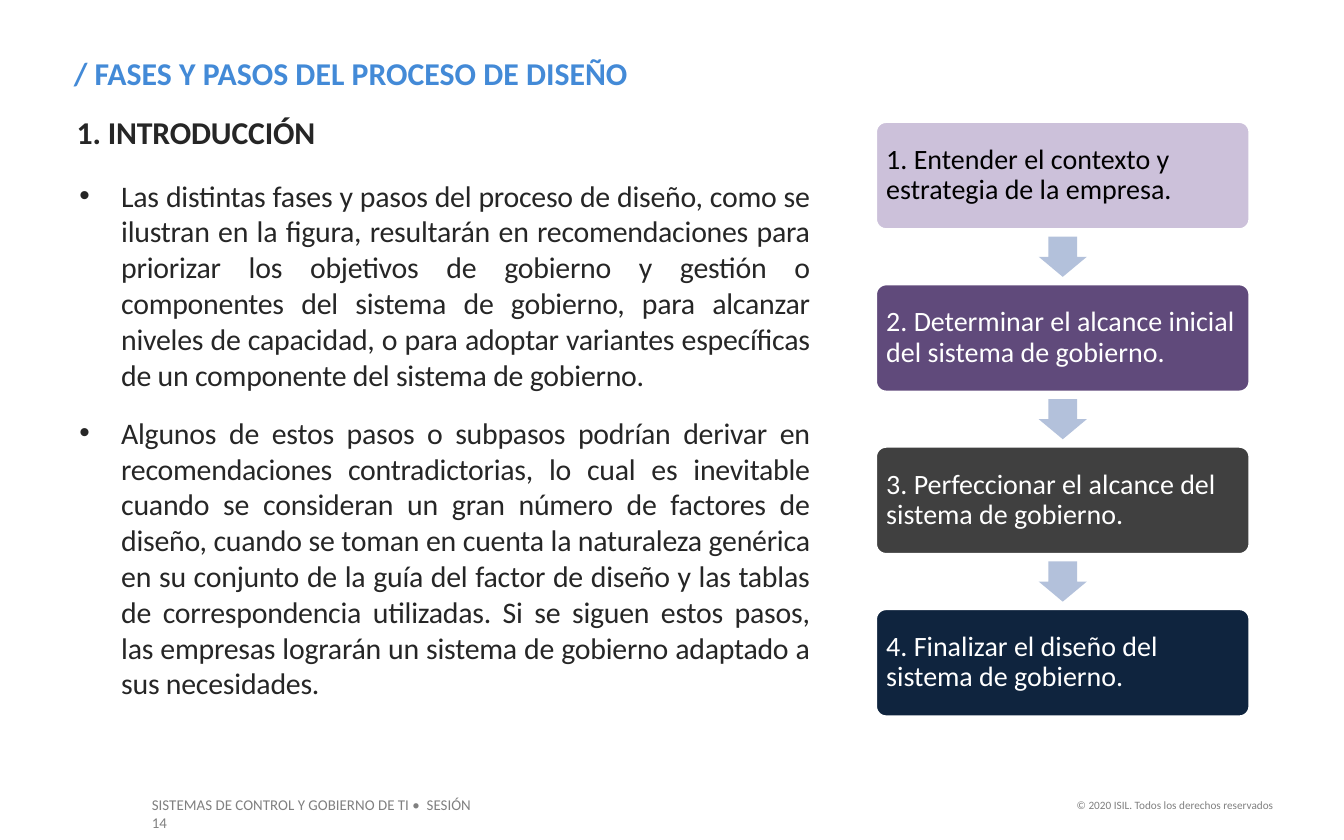
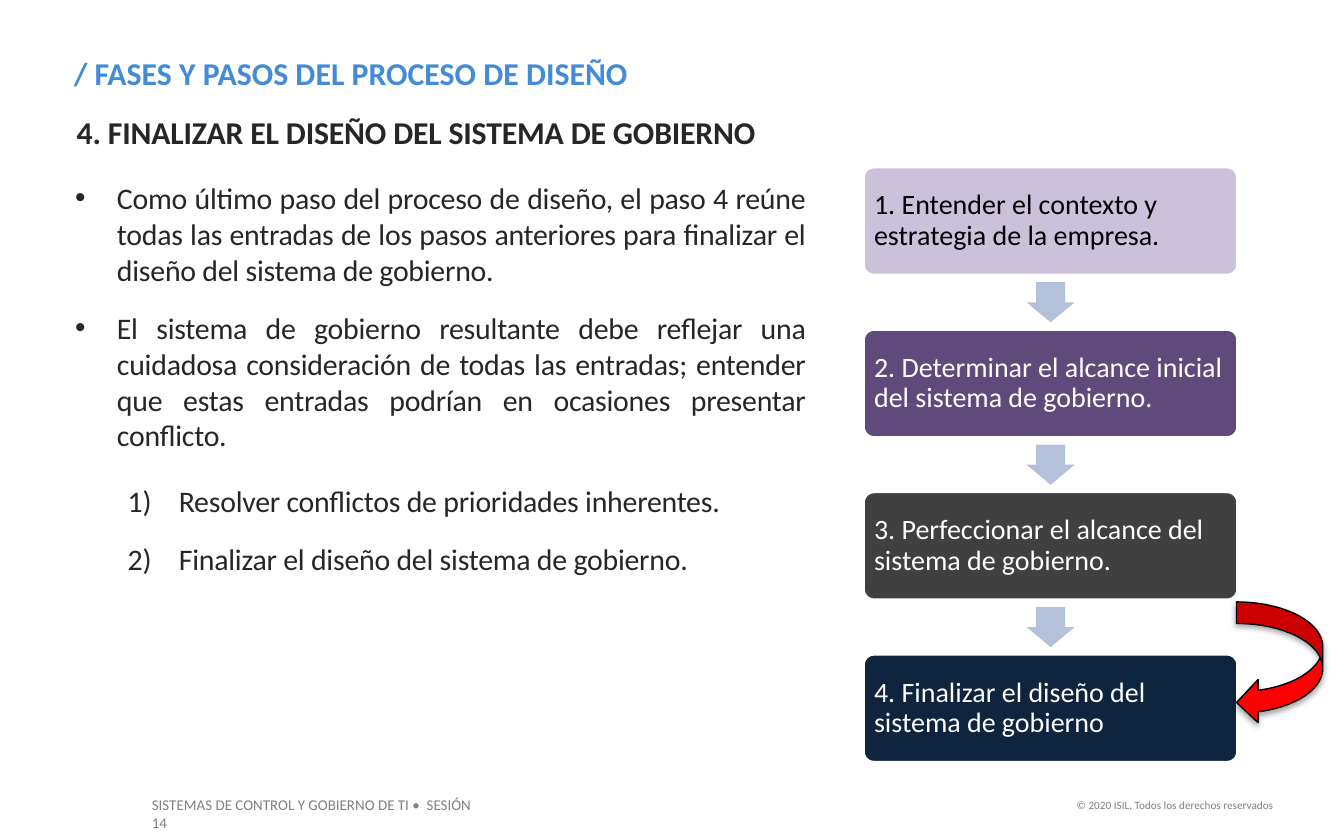
from lxml import etree
from pptx import Presentation
from pptx.dml.color import RGBColor
from pptx.enum.shapes import MSO_SHAPE
from pptx.enum.text import MSO_ANCHOR, MSO_AUTO_SIZE, PP_ALIGN
from pptx.oxml import parse_xml
from pptx.oxml.ns import nsdecls, qn
from pptx.util import Cm, Pt

FONT = "Calibri"
BLUE = RGBColor(0x43, 0x8A, 0xD7)
INK = RGBColor(0x26, 0x26, 0x26)
GRAY = RGBColor(0x80, 0x80, 0x80)
BLACK = RGBColor(0, 0, 0)
WHITE = RGBColor(0xFF, 0xFF, 0xFF)
RED = RGBColor(0xFF, 0, 0)
LILAC = RGBColor(0xCC, 0xC1, 0xDA)
PURPLE = RGBColor(0x60, 0x4A, 0x7B)
CHARCOAL = RGBColor(0x40, 0x40, 0x40)
NAVY = RGBColor(0x0F, 0x24, 0x3E)
ARROW_BLUE = RGBColor(0xB3, 0xC1, 0xDB)

TITLE = "/ FASES Y PASOS DEL PROCESO DE DISEÑO"
TITLE_AREA = (1.14, 0.89, 20.02, 0.99)

# text, area in cm, size, alignment
FOOTERS = [
    ("SISTEMAS DE CONTROL Y GOBIERNO DE TI •  SESIÓN 14",
     (2.62, 14.91, 6.88, 0.61), 8, PP_ALIGN.LEFT),
    ("© 2020 ISIL. Todos los derechos reservados",
     (20.02, 14.96, 4.29, 0.51), 6, PP_ALIGN.RIGHT),
]

# text, fill, text colour
STEPS = [
    ("1. Entender el contexto y estrategia de la empresa.", LILAC, BLACK),
    ("2. Determinar el alcance inicial del sistema de gobierno.", PURPLE, WHITE),
    ("3. Perfeccionar el alcance del sistema de gobierno.", CHARCOAL, WHITE),
    ("4. Finalizar el diseño del sistema de gobierno.", NAVY, WHITE),
]
LAST_TEXT, *LAST_COLOURS = STEPS[-1]
STEPS_NO_STOP = STEPS[:-1] + [(LAST_TEXT.rstrip("."), *LAST_COLOURS)]
STEP_W, STEP_H, STEP_PITCH = 7.09, 2.06, 3.07
ARROW_W, ARROW_H = 0.76, 0.91

SLIDES = [
    {
        "heading": "1. INTRODUCCIÓN",
        "heading_width": 5.38,
        "lists": [
            ("bullet", (1.5, 3.35, 13.82, 10.01), [
                "Las distintas fases y pasos del proceso de diseño, como se ilustran en la "
                "figura, resultarán en recomendaciones para priorizar los objetivos de "
                "gobierno y gestión o componentes del sistema de gobierno, para alcanzar "
                "niveles de capacidad, o para adoptar variantes específicas de un "
                "componente del sistema de gobierno.",
                "Algunos de estos pasos o subpasos podrían derivar en recomendaciones "
                "contradictorias, lo cual es inevitable cuando se consideran un gran número "
                "de factores de diseño, cuando se toman en cuenta la naturaleza genérica en "
                "su conjunto de la guía del factor de diseño y las tablas de "
                "correspondencia utilizadas. Si se siguen estos pasos, las empresas "
                "lograrán un sistema de gobierno adaptado a sus necesidades.",
            ]),
        ],
        "steps": STEPS,
        "flow_at": (16.54, 2.29),
    },
    {
        "heading": "4. FINALIZAR EL DISEÑO DEL SISTEMA DE GOBIERNO",
        "heading_width": 13.89,
        "lists": [
            ("bullet", (1.42, 3.4, 13.82, 5.21), [
                "Como último paso del proceso de diseño, el paso 4 reúne todas las entradas "
                "de los pasos anteriores para finalizar el diseño del sistema de gobierno.",
                "El sistema de gobierno resultante debe reflejar una cuidadosa "
                "consideración de todas las entradas; entender que estas entradas podrían "
                "en ocasiones presentar conflicto.",
            ]),
            ("number", (2.41, 9.12, 13.61, 1.8), [
                "Resolver conflictos de prioridades inherentes.",
                "Finalizar el diseño del sistema de gobierno.",
            ]),
        ],
        "steps": STEPS_NO_STOP,
        "flow_at": (16.31, 3.15),
        "return_arrow": (23.37, 11.38, 1.63, 2.31),
    },
]

# indent in cm, marker font, marker element, its attributes
MARKERS = {
    "bullet": (0.79, "Arial", "a:buChar", {"char": "•"}),
    "number": (0.97, FONT, "a:buAutoNum", {"type": "arabicParenR"}),
}
LAYOUTS = {1: 1, 2: 3}  # number of lists -> layout index


def cm(area):
    return [Cm(v) for v in area]


def place(sp, area):
    sp.left, sp.top, sp.width, sp.height = cm(area)


def set_frame(sp, inset=None, anchor=MSO_ANCHOR.TOP):
    tf = sp.text_frame
    tf.word_wrap = True
    tf.auto_size = MSO_AUTO_SIZE.NONE
    tf.vertical_anchor = anchor
    if inset is not None:
        tf.margin_left = tf.margin_top = tf.margin_right = tf.margin_bottom = Cm(inset)
    return tf


def add_run(p, text, size, color, bold=False, tight=False, align=PP_ALIGN.LEFT):
    """Add a run; tight narrows the letter spacing by 0.1 pt."""
    p.alignment = align
    r = p.add_run()
    r.text = text
    r.font.name, r.font.size, r.font.bold = FONT, Pt(size), bold
    r.font.color.rgb = color
    if tight:
        r.font._element.set("spc", "-10")


def set_marker(p, kind):
    indent, font, tag, attrs = MARKERS[kind]
    pPr = p._p.get_or_add_pPr()
    pPr.set("marL", str(Cm(indent)))
    pPr.set("indent", str(-Cm(indent)))
    etree.SubElement(pPr, qn("a:buFont"), typeface=font)
    etree.SubElement(pPr, qn(tag), attrs)


def add_list(sp, kind, area, items):
    place(sp, area)
    tf = set_frame(sp, 0)
    for i, item in enumerate(items):
        p = tf.paragraphs[0] if i == 0 else tf.add_paragraph()
        set_marker(p, kind)
        p.space_before, p.space_after = Pt(0), Pt(12)
        add_run(p, item, 16, INK, tight=True, align=PP_ALIGN.JUSTIFY)


def add_filled(slide, preset, area, fill, line=None, line_width=0):
    sp = slide.shapes.add_shape(preset, *cm(area))
    sp.shadow.inherit = False
    sp.fill.solid()
    sp.fill.fore_color.rgb = fill
    if line is None:
        sp.line.fill.background()
    else:
        sp.line.color.rgb = line
        sp.line.width = Pt(line_width)
    return sp


def add_flow(slide, left, top, steps):
    for i, (text, fill, color) in enumerate(steps):
        y = top + i * STEP_PITCH
        box = add_filled(slide, MSO_SHAPE.ROUNDED_RECTANGLE,
                         (left, y, STEP_W, STEP_H), fill, WHITE, 2)
        box.adjustments[0] = 0.1
        p = set_frame(box, 0.15, MSO_ANCHOR.MIDDLE).paragraphs[0]
        p.line_spacing = 0.9
        add_run(p, text, 15, color)
        if i < len(steps) - 1:
            middle = y + (STEP_H + STEP_PITCH) / 2
            arrow = add_filled(slide, MSO_SHAPE.RIGHT_ARROW,
                               (left + (STEP_W - ARROW_W) / 2, middle - ARROW_H / 2,
                                ARROW_W, ARROW_H), ARROW_BLUE)
            arrow.adjustments[0], arrow.adjustments[1] = 0.6, 0.5
            arrow.rotation = 90


def add_return_arrow(slide, area):
    sp = add_filled(slide, MSO_SHAPE.CURVED_LEFT_ARROW, area, RED, BLACK, 0.75)
    spPr = sp._element.spPr
    spPr.remove(spPr.find(qn("a:effectLst")))
    spPr.append(parse_xml(
        f'<a:effectLst {nsdecls("a")}>'
        '<a:outerShdw blurRad="40000" dist="23000" dir="5400000" rotWithShape="0">'
        '<a:srgbClr val="000000"><a:alpha val="35000"/></a:srgbClr>'
        '</a:outerShdw></a:effectLst>'))


def add_footers(prs, slide):
    """Make the footer boxes on a slide and move them to the master."""
    tree = prs.slide_master.shapes._spTree
    for i, (text, area, size, align) in enumerate(FOOTERS):
        box = slide.shapes.add_textbox(*cm(area))
        add_run(set_frame(box).paragraphs[0], text, size, GRAY, align=align)
        box._element.nvSpPr.cNvPr.set("id", str(101 + i))
        box.name = f"Pie {i + 1}"
        tree.append(box._element)


def add_slide(prs, data):
    slide = prs.slides.add_slide(prs.slide_layouts[LAYOUTS[len(data["lists"])]])
    title, *bodies = slide.placeholders
    place(title, TITLE_AREA)
    add_run(set_frame(title).paragraphs[0], TITLE, 17, BLUE, bold=True)
    heading = slide.shapes.add_textbox(*cm((1.45, 2.13, data["heading_width"], 0.74)))
    add_run(set_frame(heading, 0).paragraphs[0], data["heading"], 17, INK,
            bold=True, tight=True)
    for body, (kind, area, items) in zip(bodies, data["lists"]):
        add_list(body, kind, area, items)
    add_flow(slide, *data["flow_at"], data["steps"])
    if "return_arrow" in data:
        add_return_arrow(slide, data["return_arrow"])
    return slide


def main():
    prs = Presentation()
    prs.slide_width, prs.slide_height = Cm(25.4), Cm(15.88)
    slides = [add_slide(prs, data) for data in SLIDES]
    add_footers(prs, slides[0])
    prs.save("out.pptx")


if __name__ == "__main__":
    main()
